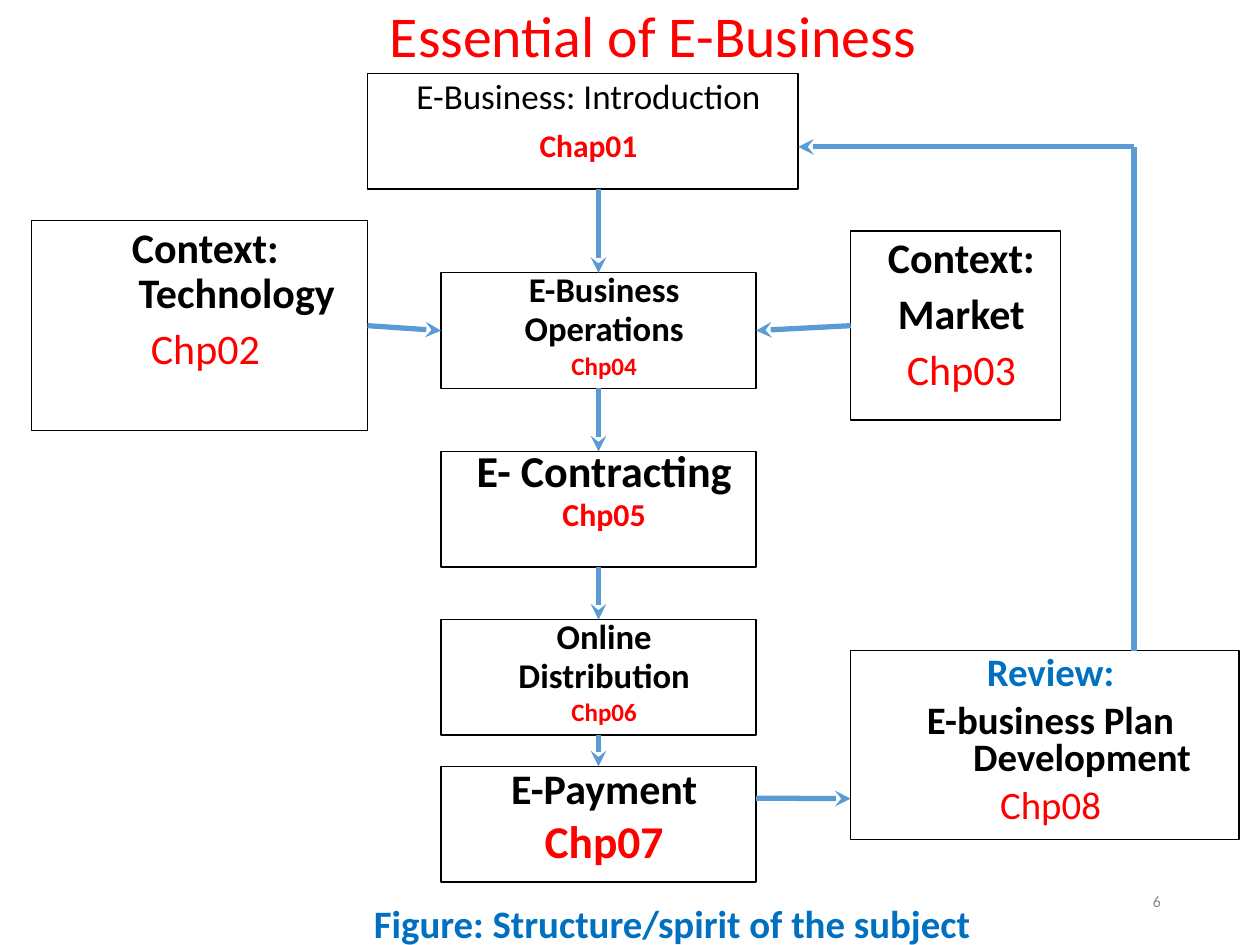
from lxml.etree import SubElement
from pptx import Presentation
from pptx.dml.color import RGBColor
from pptx.enum.shapes import MSO_CONNECTOR as Connector, MSO_SHAPE as Shape
from pptx.enum.text import MSO_ANCHOR as Anchor, PP_ALIGN as Align
from pptx.oxml.ns import qn
from pptx.util import Cm, Pt

BLACK = RGBColor(0x00, 0x00, 0x00)
RED = RGBColor(0xFF, 0x00, 0x00)
BLUE = RGBColor(0x00, 0x70, 0xC0)
ARROW_BLUE = RGBColor(0x5B, 0x9B, 0xD5)
GREY = RGBColor(0x88, 0x88, 0x88)

TOP, LEFT, BOTTOM, RIGHT = range(4)
STAGE_LEFT, STAGE_WIDTH, STAGE_HEIGHT = 8.89, 6.35, 2.33
STAGE_CENTRE = STAGE_LEFT + STAGE_WIDTH / 2
SIDE_LEFT, SIDE_HEIGHT = 17.15, 3.81
RETURN_X, RETURN_Y = 22.86, 2.96
REVIEW_TOP = 13.12


class FlowPage:
    font = "Calibri"
    margin = Cm(1.5)
    indent = Cm(-1.27)

    def __init__(self, deck):
        self.page = deck.slides.add_slide(deck.slide_layouts[6])

    def fill_text(self, box, lines, spacing, gap=6, hanging=True, align=Align.CENTER, anchor=Anchor.TOP):
        frame = box.text_frame
        frame.word_wrap = True
        frame.vertical_anchor = anchor
        for index, (text, size, color, bold) in enumerate(lines):
            para = frame.add_paragraph() if index else frame.paragraphs[0]
            para.alignment = align
            para.line_spacing = spacing
            para.space_before = Pt(gap if index else 0)
            if hanging:
                properties = para._p.get_or_add_pPr()
                properties.set("marL", str(self.margin))
                properties.set("indent", str(self.indent))
            span = para.add_run()
            span.text = text
            span.font.name = self.font
            span.font.size = Pt(size)
            span.font.bold = bold
            span.font.color.rgb = color

    def label(self, left, top, width, height, line, spacing, **style):
        box = self.page.shapes.add_textbox(Cm(left), Cm(top), Cm(width), Cm(height))
        self.fill_text(box, [line], spacing, **style)

    def block(self, left, top, width, height, lines, spacing, **style):
        box = self.page.shapes.add_shape(Shape.RECTANGLE, Cm(left), Cm(top), Cm(width), Cm(height))
        box.shadow.inherit = False
        box.fill.background()
        box.line.color.rgb = BLACK
        box.line.width = Pt(0.75)
        self.fill_text(box, lines, spacing, **style)
        return box

    def stage(self, top, lines, spacing=0.7):
        return self.block(STAGE_LEFT, top, STAGE_WIDTH, STAGE_HEIGHT, lines, spacing)

    def link(self, start, end, begin_at=None, end_at=None, arrow=True):
        ends = [Cm(value) for value in (*start, *end)]
        line = self.page.shapes.add_connector(Connector.STRAIGHT, *ends)
        if begin_at:
            line.begin_connect(*begin_at)
        if end_at:
            line.end_connect(*end_at)
        line.line.color.rgb = ARROW_BLUE
        line.line.width = Pt(3)
        if arrow:
            SubElement(line.line._get_or_add_ln(), qn("a:tailEnd"), type="stealth")
        SubElement(line._element.spPr, qn("a:effectLst"))


def main():
    deck = Presentation()
    deck.slide_width, deck.slide_height = Cm(25.4), Cm(19.05)
    flow = FlowPage(deck)

    flow.label(2.75, 0, 20.83, 1.57, ("Essential of E-Business", 33, RED, False), 0.9,
               hanging=False, anchor=Anchor.MIDDLE)
    flow.block(7.41, 1.48, 8.68, STAGE_HEIGHT, [
        ("E-Business: Introduction", 20, BLACK, False),
        ("Chap01", 18, RED, True)], 0.9, gap=7.5)
    flow.label(17.93, 17.65, 5.72, 1.02, ("6", 9, GREY, False), 1.0,
               hanging=False, align=Align.RIGHT, anchor=Anchor.MIDDLE)

    operations = flow.stage(5.5, [
        ("E-Business", 19.8, BLACK, True),
        ("Operations", 19.8, BLACK, True),
        ("Chp04", 14.3, RED, True)])
    technology = flow.block(0.64, 4.45, 6.77, 4.23, [
        ("Context: Technology", 24, BLACK, True),
        ("Chp02", 24, RED, False)], 0.9)
    market = flow.block(SIDE_LEFT, 4.66, 4.23, SIDE_HEIGHT, [
        ("Context:", 24, BLACK, True),
        ("Market", 24, BLACK, True),
        ("Chp03", 24, RED, False)], 0.9)
    contracting = flow.stage(9.1, [
        ("E- Contracting", 25.2, BLACK, True),
        ("Chp05", 18.2, RED, True)])
    distribution = flow.stage(12.49, [
        ("Online", 19.8, BLACK, True),
        ("Distribution", 19.8, BLACK, True),
        ("Chp06", 14.3, RED, True)])
    payment = flow.stage(15.45, [
        ("E-Payment", 24, BLACK, True),
        ("Chp07", 26, RED, True)], 0.8)
    flow.label(2.75, 18.2, 21.38, 1.06,
               ("Figure: Structure/spirit of the subject", 22.2, BLUE, True), 0.8)
    flow.block(SIDE_LEFT, REVIEW_TOP, 7.83, SIDE_HEIGHT, [
        ("Review:", 22.2, BLUE, True),
        ("E-business Plan Development", 22.2, BLACK, True),
        ("Chp08", 22.2, RED, False)], 0.8)

    flow.link((STAGE_CENTRE, 3.81), (STAGE_CENTRE, 5.5), end_at=(operations, TOP))
    stages = [operations, contracting, distribution, payment]
    for upper, lower in zip(stages, stages[1:]):
        flow.link((0, 0), (0, 0), (upper, BOTTOM), (lower, TOP))
    flow.link((0, 0), (0, 0), (technology, RIGHT), (operations, LEFT))
    flow.link((0, 0), (0, 0), (market, LEFT), (operations, RIGHT))
    flow.link((STAGE_LEFT + STAGE_WIDTH, 16.09), (SIDE_LEFT, 16.1))
    flow.link((RETURN_X, RETURN_Y), (RETURN_X, REVIEW_TOP), arrow=False)
    flow.link((RETURN_X, RETURN_Y), (16.09, RETURN_Y))

    deck.save("out.pptx")


if __name__ == "__main__":
    main()
